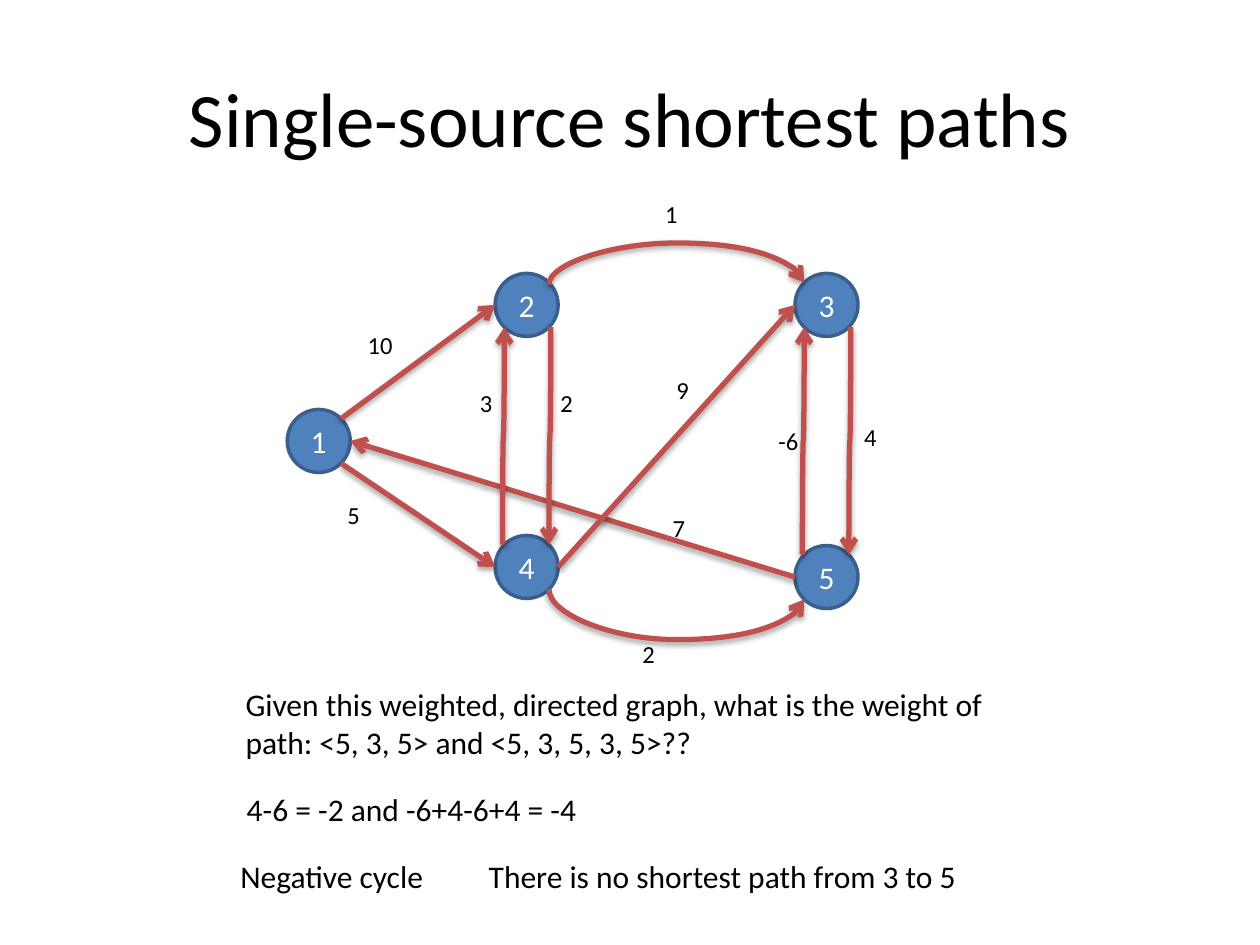
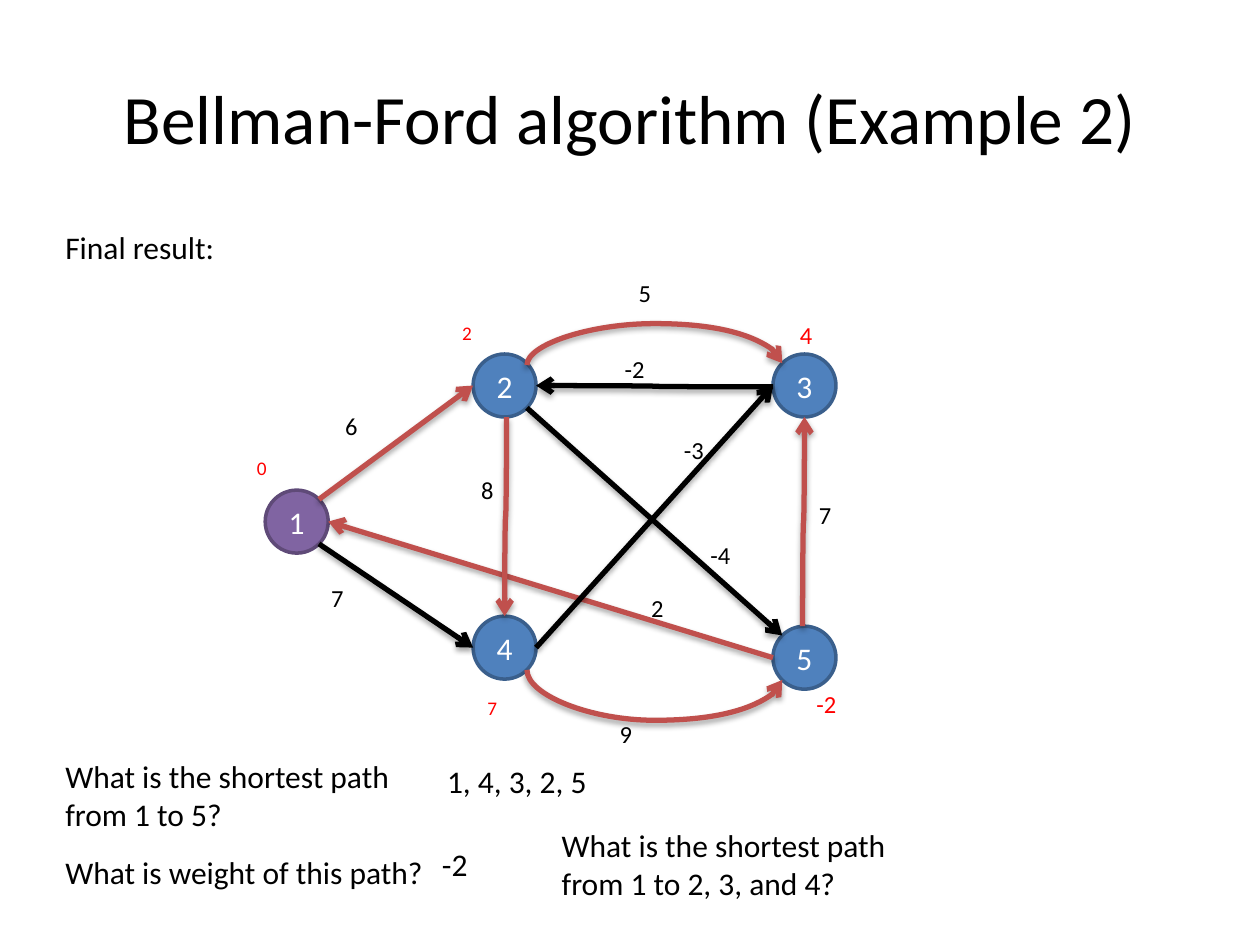
"""Build two slides of weighted directed graphs and their shortest paths."""
from dataclasses import dataclass
from math import cos, radians, sin
from typing import Any, NamedTuple, Optional

from lxml import etree
from pptx import Presentation
from pptx.dml.color import RGBColor
from pptx.enum.shapes import MSO_CONNECTOR, MSO_SHAPE
from pptx.enum.text import MSO_ANCHOR, PP_ALIGN
from pptx.oxml.ns import qn
from pptx.util import Emu, Inches, Pt

STRAIGHT, CURVE = MSO_CONNECTOR.STRAIGHT, MSO_CONNECTOR.CURVE
ELLIPSE = MSO_SHAPE.OVAL
LEFT, CENTER = PP_ALIGN.LEFT, PP_ALIGN.CENTER
TOP, MIDDLE = MSO_ANCHOR.TOP, MSO_ANCHOR.MIDDLE

SLIDE_WIDTH, SLIDE_HEIGHT = Inches(10), Inches(7.5)
COLUMNS = 100
CELL = SLIDE_WIDTH / COLUMNS
NODE_SIZE = 5
DIAGONAL = cos(radians(45))
PORTS = {
    "N": (0, -1), "E": (1, 0), "S": (0, 1), "W": (-1, 0),
    "NE": (DIAGONAL, -DIAGONAL), "SE": (DIAGONAL, DIAGONAL),
    "SW": (-DIAGONAL, DIAGONAL), "NW": (-DIAGONAL, -DIAGONAL),
}


class Style(NamedTuple):
    """Type size and colour of a text."""
    size: float
    color: RGBColor


class Paint(NamedTuple):
    """Fill and outline of a node."""
    fill: RGBColor
    outline: RGBColor


BLACK, RED = RGBColor(0, 0, 0), RGBColor(255, 0, 0)


@dataclass(frozen=True)
class Theme:
    """Colours, type sizes and line weights of the deck."""
    font: str = "Calibri"
    title: Style = Style(44, BLACK)
    long_title: Style = Style(39.6, BLACK)
    body: Style = Style(18, BLACK)
    weight: Style = Style(14, BLACK)
    distance: Style = Style(14, RED)
    small_distance: Style = Style(11, RED)
    node: Style = Style(18, RGBColor(255, 255, 255))
    blue: Paint = Paint(RGBColor(0x4F, 0x81, 0xBD), RGBColor(0x3A, 0x5F, 0x8C))
    purple: Paint = Paint(RGBColor(0x80, 0x64, 0xA2), RGBColor(0x5F, 0x4A, 0x78))
    edge: RGBColor = RGBColor(0xC0, 0x50, 0x4D)
    path_edge: RGBColor = BLACK
    edge_width: float = 3
    outline_width: float = 2


THEME = Theme()


class Note(NamedTuple):
    """A text with its place on the grid."""
    text: str
    left: float
    top: float
    width: float = 4.7
    height: float = 3.4
    style: Style = THEME.weight


@dataclass(frozen=True)
class Edge:
    """A directed edge between ports of two nodes; turn and bulge bend it."""
    tail: int
    tail_port: str
    head: int
    head_port: str
    color: RGBColor = THEME.edge
    turn: int = 0
    drift: tuple[float, float] = (0, 0)
    bulge: Optional[float] = None


@dataclass(frozen=True)
class GraphSlide:
    """Content of one slide."""
    title: str
    title_style: Style
    shift: tuple[float, float]
    source_paint: Paint
    edges: list[Edge]
    notes: list[Note]


NODES = {1: (25.3, 35), 2: (41.8, 24.2), 3: (65.6, 24.2), 4: (41.8, 45), 5: (65.6, 45.8)}

COMMON_EDGES = [
    Edge(1, "NE", 2, "W"),
    Edge(4, "SE", 5, "SW", turn=270, bulge=4),
    Edge(2, "NE", 3, "NW", turn=90, drift=(0, 0.15), bulge=3.3),
    Edge(5, "W", 1, "E"),
]

SLIDES = [
    GraphSlide(
        "Single-source shortest paths", THEME.title, (0, 0), THEME.blue,
        COMMON_EDGES + [
            Edge(1, "SE", 4, "W"),
            Edge(4, "E", 3, "W"),
            Edge(2, "SE", 4, "NE", turn=90, drift=(0.15, 0)),
            Edge(4, "NW", 2, "SW", turn=90, drift=(-0.15, 0)),
            Edge(5, "NW", 3, "SW", turn=90, drift=(-0.15, 0)),
            Edge(3, "SE", 5, "NE", turn=90, drift=(0.15, 0)),
        ],
        [
            Note("10", 28.2, 25.7), Note("5", 26.6, 39.2), Note("3", 37.1, 30.3),
            Note("2", 43.5, 30.3), Note("1", 51.8, 15.3), Note("2", 50, 50.2),
            Note("4", 67.6, 33), Note("9", 52.7, 29.3), Note("7", 52.4, 40.2),
            Note("-6", 60.8, 33.3),
            Note("Given this weighted, directed graph, what is the weight of path: "
                 "<5, 3, 5> and <5, 3, 5, 3, 5>??", 18.5, 53.9, 65.8, 7.1, THEME.body),
            Note("4-6 = -2 and -6+4-6+4 = -4", 18.6, 62.2, 65.8, 4, THEME.body),
            Note("Negative cycle", 18.1, 67.5, 19, 4, THEME.body),
            Note("There is no shortest path from 3 to 5", 37.8, 67.5, 42.2, 4, THEME.body),
        ],
    ),
    GraphSlide(
        "Bellman-Ford algorithm (Example 2)", THEME.long_title, (-1.75, 6.4), THEME.purple,
        COMMON_EDGES + [
            Edge(1, "SE", 4, "W", THEME.path_edge),
            Edge(4, "E", 3, "W", THEME.path_edge),
            Edge(2, "SE", 5, "NW", THEME.path_edge),
            Edge(3, "W", 2, "E", THEME.path_edge, turn=180, drift=(0, 0.1)),
            Edge(2, "S", 4, "N", turn=90, drift=(0.15, 0)),
            Edge(5, "N", 3, "S", turn=90, drift=(-0.15, 0)),
        ],
        [
            Note("6", 26.4, 32.1), Note("7", 25.3, 45.8), Note("8", 37.2, 37.2),
            Note("5", 49.7, 21.6), Note("9", 48.2, 56.6), Note("7", 64, 39.2),
            Note("-3", 53.3, 34), Note("2", 50.7, 46.6), Note("-4", 55.4, 42.4),
            Note("-2", 48.6, 27.6),
            Note("0", 19.4, 35.7, 4.2, 2.9, THEME.small_distance),
            Note("2", 35.7, 25, 3.9, 2.9, THEME.small_distance),
            Note("4", 62.5, 24.9, 3.9, 3.4, THEME.distance),
            Note("7", 37.7, 54.8, 3.9, 2.9, THEME.small_distance),
            Note("-2", 63.8, 54.2, 3.9, 3.4, THEME.distance),
            Note("Final result:", 4.2, 17.6, 37.6, 4, THEME.body),
            Note("What is the shortest path from 1 to 5?", 4.2, 59.6, 33, 7.1, THEME.body),
            Note("What is weight of this path?", 4.2, 67.2, 33, 4, THEME.body),
            Note("1, 4, 3, 2, 5", 34.5, 60, 33, 4, THEME.body),
            Note("-2", 34.1, 66.6, 33, 4, THEME.body),
            Note("What is the shortest path from 1 to 2, 3, and 4?",
                 43.6, 65.1, 33, 7.1, THEME.body),
        ],
    ),
]


def grid(*cells: float) -> list[Emu]:
    """Turn grid cells into lengths."""
    return [Emu(round(cell * CELL)) for cell in cells]


def apply_format(target: Any, values: dict[str, Any]) -> None:
    """Set each format value on the target."""
    for name, value in values.items():
        setattr(target, name, value)


def write(frame: Any, text: str, style: Style, align: Any, anchor: Any) -> None:
    """Write one styled paragraph into a text frame."""
    apply_format(frame, {"word_wrap": True, "vertical_anchor": anchor})
    paragraph = frame.paragraphs[0]
    paragraph.alignment = align
    run = paragraph.add_run()
    run.text = text
    apply_format(run.font, {"name": THEME.font, "size": Pt(style.size)})
    run.font.color.rgb = style.color


def add_note(slide: Any, note: Note, align: Any = LEFT, anchor: Any = TOP) -> None:
    """Place a text on the slide."""
    area = grid(note.left, note.top, note.width, note.height)
    write(slide.shapes.add_textbox(*area).text_frame, note.text, note.style, align, anchor)


def add_node(slide: Any, number: int, center: tuple[float, float], paint: Paint) -> None:
    """Draw a numbered node around its centre."""
    corner = [place - NODE_SIZE / 2 for place in center]
    node = slide.shapes.add_shape(ELLIPSE, *grid(*corner, NODE_SIZE, NODE_SIZE))
    node.shadow.inherit = False
    node.fill.solid()
    node.fill.fore_color.rgb = paint.fill
    node.line.color.rgb = paint.outline
    node.line.width = Pt(THEME.outline_width)
    write(node.text_frame, str(number), THEME.node, CENTER, MIDDLE)


def port(center: tuple[float, float], side: str) -> tuple[float, float]:
    """Find the point of a node's rim on the given side."""
    x, y = (place + NODE_SIZE / 2 * step for place, step in zip(center, PORTS[side]))
    return x, y


def add_element(parent: Any, tag: str, **values: Any) -> Any:
    """Append an XML element with attributes."""
    attributes = {name: str(value) for name, value in values.items()}
    return etree.SubElement(parent, qn(tag), attributes)


def add_edge(slide: Any, edge: Edge, centers: dict[int, tuple[float, float]]) -> None:
    """Draw an arrow along an edge, straight or turned and curved."""
    x1, y1 = port(centers[edge.tail], edge.tail_port)
    x1, y1 = x1 + edge.drift[0], y1 + edge.drift[1]
    x2, y2 = port(centers[edge.head], edge.head_port)
    angle = radians(edge.turn)
    half_run = ((x2 - x1) * cos(angle) + (y2 - y1) * sin(angle)) / 2
    half_rise = ((y2 - y1) * cos(angle) - (x2 - x1) * sin(angle)) / 2
    middle_x, middle_y = (x1 + x2) / 2, (y1 + y2) / 2
    arrow = slide.shapes.add_connector(
        CURVE if edge.turn else STRAIGHT,
        *grid(middle_x - half_run, middle_y - half_rise,
              middle_x + half_run, middle_y + half_rise))
    arrow.line.color.rgb = edge.color
    arrow.line.width = Pt(THEME.edge_width)
    properties = arrow.element.spPr
    add_element(properties.find(qn("a:ln")), "a:tailEnd", type="arrow")
    if edge.turn:
        properties.find(qn("a:xfrm")).set("rot", str(edge.turn * 60000))
        bend = edge.bulge / abs(2 * half_run) if edge.bulge else 0.5
        guides = properties.find(qn("a:prstGeom")).find(qn("a:avLst"))
        add_element(guides, "a:gd", name="adj1", fmla=f"val {round(bend * 100000)}")
    shadow = add_element(add_element(properties, "a:effectLst"), "a:outerShdw",
                         blurRad=40000, dist=23000, dir=5400000, rotWithShape=0)
    add_element(add_element(shadow, "a:srgbClr", val=BLACK), "a:alpha", val=35000)


def build_slide(deck: Any, content: GraphSlide) -> None:
    """Draw the title, graph and notes of one slide."""
    slide = deck.slides.add_slide(deck.slide_layouts[6])
    add_note(slide, Note(content.title, 5, 3, 90, 12.5, content.title_style), CENTER, MIDDLE)
    right, down = content.shift
    centers = {number: (x + right, y + down) for number, (x, y) in NODES.items()}
    for number, center in centers.items():
        add_node(slide, number, center, content.source_paint if number == 1 else THEME.blue)
    for edge in content.edges:
        add_edge(slide, edge, centers)
    for note in content.notes:
        add_note(slide, note)


def main() -> None:
    """Build and save the deck."""
    deck = Presentation()
    apply_format(deck, {"slide_width": SLIDE_WIDTH, "slide_height": SLIDE_HEIGHT})
    for content in SLIDES:
        build_slide(deck, content)
    deck.save("out.pptx")


if __name__ == "__main__":
    main()
